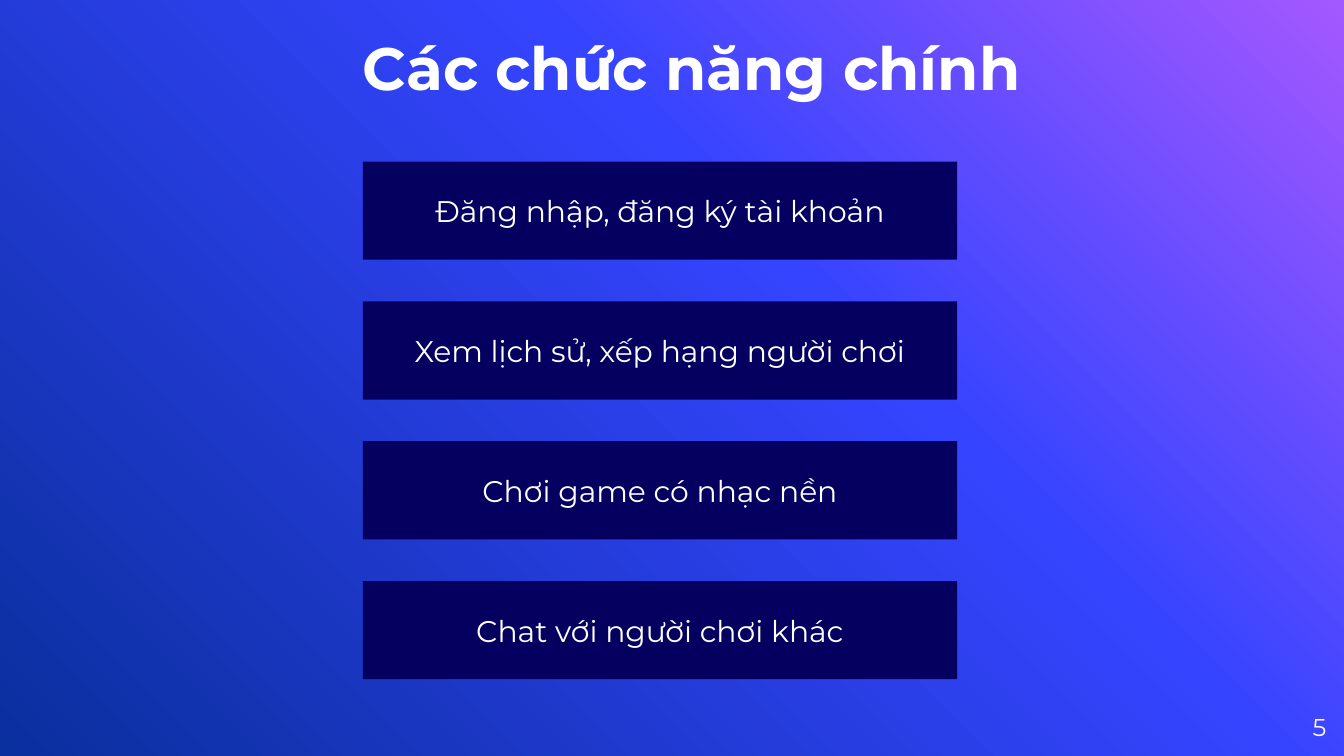
import copy
from dataclasses import dataclass

import pptx
import pptx.dml.color
import pptx.enum.shapes
import pptx.enum.text
import pptx.oxml.ns
import pptx.util

Pt = pptx.util.Pt
RGBColor = pptx.dml.color.RGBColor
Align = pptx.enum.text.PP_ALIGN
Anchor = pptx.enum.text.MSO_ANCHOR

FONT = "Montserrat"
WHITE = RGBColor(0xFF, 0xFF, 0xFF)
NAVY = RGBColor(0x05, 0x00, 0x60)
PURPLE = RGBColor(0xA4, 0x58, 0xFF)
BLUE = RGBColor(0x35, 0x44, 0xFF)
DARK_BLUE = RGBColor(0x0A, 0x2F, 0x9E)
BACKGROUND = [(0, PURPLE), (0.39, BLUE), (1, DARK_BLUE)]

# Feature boxes, in points
LEFT, TOP = 194.4, 86.6
BOX_W, BOX_H, PITCH = 318.4, 52.6, 74.9


@dataclass
class Feature:
    text: str
    row: int

    @property
    def top(self) -> float:
        return TOP + self.row * PITCH


FEATURES = [
    Feature("Đăng nhập, đăng ký tài khoản", 0),
    Feature("Xem lịch sử, xếp hạng người chơi", 1),
    Feature("Chơi game có nhạc nền", 2),
    Feature("Chat với người chơi khác", 3),
]


def write(sp, text: str, size: float, align, anchor, bold: bool = False) -> None:
    tf = sp.text_frame
    tf.word_wrap = True
    tf.auto_size = pptx.enum.text.MSO_AUTO_SIZE.NONE
    tf.vertical_anchor = anchor
    p = tf.paragraphs[0]
    p.alignment = align
    r = p.add_run()
    r.text = text
    r.font.name = FONT
    r.font.size = Pt(size)
    r.font.bold = bold
    r.font.color.rgb = WHITE


def clear_margins(sp) -> None:
    tf = sp.text_frame
    tf.margin_left = tf.margin_top = tf.margin_right = tf.margin_bottom = 0


def paint_background(s) -> None:
    fill = s.background.fill
    fill.gradient()
    fill.gradient_angle = 225
    # The default gradient has two stops; add the middle one
    stops = s._element.find(".//" + pptx.oxml.ns.qn("a:gsLst"))
    stops.insert(1, copy.deepcopy(stops[0]))
    for stop, (position, color) in zip(fill.gradient_stops, BACKGROUND):
        stop.position = position
        stop.color.rgb = color


def add_feature(s, feature: Feature) -> None:
    sp = s.shapes.add_shape(
        pptx.enum.shapes.MSO_SHAPE.RECTANGLE,
        Pt(LEFT), Pt(feature.top), Pt(BOX_W), Pt(BOX_H))
    sp.shadow.inherit = False
    sp.fill.solid()
    sp.fill.fore_color.rgb = NAVY
    sp.line.fill.background()
    write(sp, feature.text, 16, Align.CENTER, Anchor.MIDDLE)


def main() -> None:
    prs = pptx.Presentation()
    prs.slide_width, prs.slide_height = Pt(720), Pt(405)
    s = prs.slides.add_slide(prs.slide_layouts.get_by_name("Title Only"))
    paint_background(s)

    # Slide number
    number = s.shapes.add_textbox(Pt(667.4), Pt(373.7), Pt(43.2), Pt(31))
    clear_margins(number)
    write(number, "5", 13, Align.RIGHT, Anchor.MIDDLE)

    # Title
    title = s.shapes.title
    title.left, title.top = Pt(LEFT), Pt(-13)
    title.width, title.height = Pt(473.8), Pt(67.7)
    clear_margins(title)
    write(title, "Các chức năng chính", 32, Align.LEFT, Anchor.BOTTOM, bold=True)

    # Main features
    for feature in FEATURES:
        add_feature(s, feature)

    prs.save("out.pptx")


if __name__ == "__main__":
    main()
